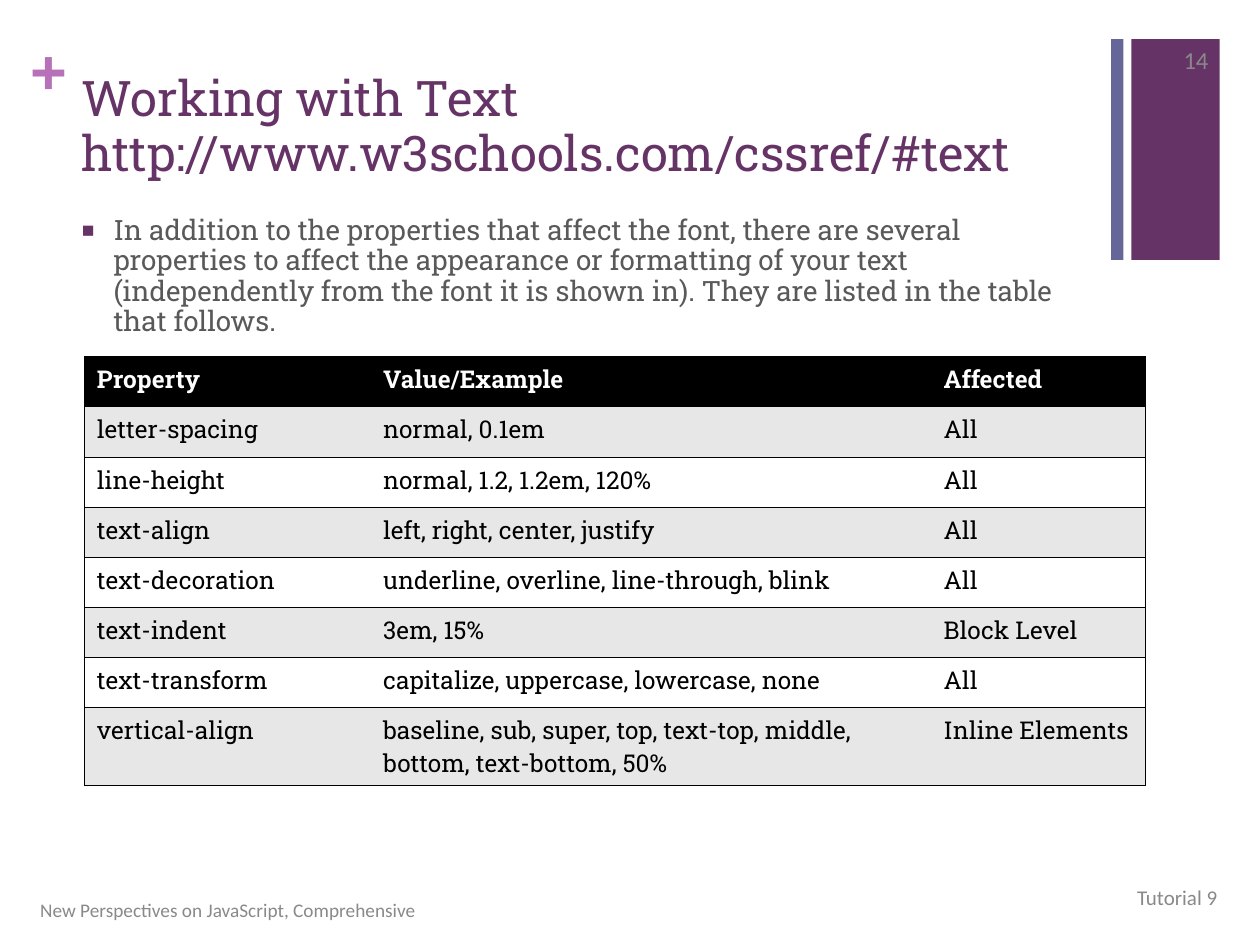
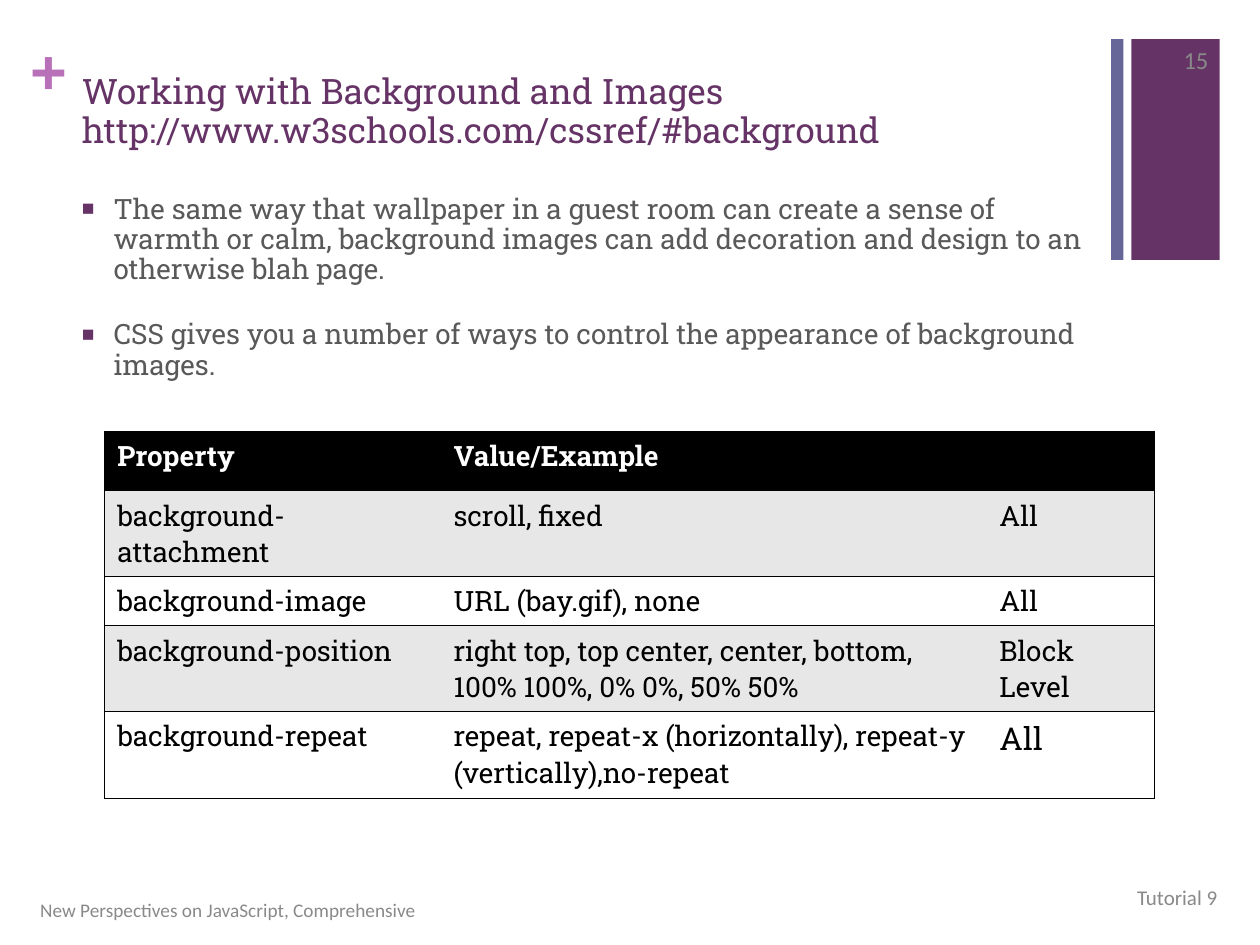
from lxml.etree import SubElement
from pptx import Presentation
from pptx.dml.color import RGBColor
from pptx.enum.shapes import MSO_SHAPE
from pptx.enum.text import MSO_ANCHOR, PP_ALIGN
from pptx.oxml.ns import qn
from pptx.util import Cm, Pt

PURPLE = RGBColor(0x66, 0x33, 0x66)
SLATE = RGBColor(0x66, 0x66, 0x99)
ORCHID = RGBColor(0xB8, 0x70, 0xB8)
BODY_GRAY = RGBColor(0x59, 0x59, 0x59)
FOOTER_GRAY = RGBColor(0x89, 0x89, 0x89)
BAND_GRAY = RGBColor(0xE7, 0xE7, 0xE7)
BLACK = RGBColor(0, 0, 0)
WHITE = RGBColor(0xFF, 0xFF, 0xFF)

SLAB = "Roboto Slab"
PLUS_FONT = {"name": "Arial", "size": Pt(36), "bold": True, "color": ORCHID}
BODY_FONT = {"name": SLAB, "size": Pt(16), "color": BODY_GRAY}
BULLET_INDENT = Cm(0.64)
BORDER_WIDTH = Pt(0.45)

TEXT_ROWS = [
    ["Property", "Value/Example", "Affected"],
    ["letter-spacing", "normal, 0.1em", "All"],
    ["line-height", "normal, 1.2, 1.2em, 120%", "All"],
    ["text-align", "left, right, center, justify", "All"],
    ["text-decoration", "underline, overline, line-through, blink", "All"],
    ["text-indent", "3em, 15%", "Block Level"],
    ["text-transform", "capitalize, uppercase, lowercase, none", "All"],
    ["vertical-align",
     "baseline, sub, super, top, text-top, middle,\nbottom, text-bottom, 50%",
     "Inline Elements"],
]
BACKGROUND_ROWS = [
    ["Property", "Value/Example", ""],
    ["background-attachment", "scroll, fixed", "All"],
    ["background-image", "URL (bay.gif), none", "All"],
    ["background-position",
     "right top, top center, center, bottom, 100% 100%, 0% 0%, 50% 50%",
     "Block Level"],
    ["background-repeat",
     "repeat, repeat-x (horizontally), repeat-y (vertically),no-repeat", "All"],
]


def format_runs(p, font):
    for r in p.runs:
        for key, value in font.items():
            if key == "color":
                r.font.color.rgb = value
            else:
                setattr(r.font, key, value)


def add_text(slide, text, box, font, **paragraph_format):
    """Add a text box; each line of text becomes a paragraph."""
    tf = slide.shapes.add_textbox(*map(Cm, box)).text_frame
    tf.word_wrap = True
    tf.text = text
    for p in tf.paragraphs:
        for key, value in paragraph_format.items():
            setattr(p, key, value)
        format_runs(p, font)
    return tf


def add_bar(slide, box, color):
    sp = slide.shapes.add_shape(MSO_SHAPE.RECTANGLE, *map(Cm, box))
    sp.shadow.inherit = False
    sp.fill.solid()
    sp.fill.fore_color.rgb = color
    sp.line.fill.background()


def add_footer(slide, text, box, size, align=PP_ALIGN.LEFT):
    font = {"name": "Calibri", "size": Pt(size), "color": FOOTER_GRAY}
    tf = add_text(slide, text, box, font, alignment=align)
    tf.vertical_anchor = MSO_ANCHOR.MIDDLE


def add_frame(slide, number):
    """Add the bands, plus sign, footers and page number."""
    add_bar(slide, (22.81, 0.79, 1.78, 4.45), PURPLE)
    add_bar(slide, (22.4, 0.79, 0.25, 4.45), SLATE)
    plus = add_text(slide, "+", (0.61, 0.64, 0.71, 1.52), PLUS_FONT)
    plus.word_wrap = False
    for side in ("left", "top", "right", "bottom"):
        setattr(plus, f"margin_{side}", 0)
    add_footer(slide, "Tutorial 9", (18.87, 17.58, 5.92, 1.02), 12, PP_ALIGN.RIGHT)
    add_footer(slide, "New Perspectives on JavaScript, Comprehensive",
               (0.56, 17.83, 17.02, 1.02), 11)
    add_footer(slide, str(number), (23.06, 0.69, 1.55, 1.02), 14, PP_ALIGN.RIGHT)


def add_title(slide, text, height, size):
    font = {"name": SLAB, "size": Pt(size), "color": PURPLE}
    add_text(slide, text, (1.4, 1.35, 20.98, height), font, line_spacing=0.93)


def add_bullets(slide, items, top, height):
    tf = add_text(slide, "\n".join(items), (1.4, top, 20.98, height),
                  BODY_FONT, line_spacing=0.9)
    for i, p in enumerate(tf.paragraphs):
        p.space_before = Pt(20 if i else 0)
        pPr = p._p.get_or_add_pPr()
        pPr.set("marL", str(BULLET_INDENT))
        pPr.set("indent", str(-BULLET_INDENT))
        color = SubElement(pPr, qn("a:buClr"))
        SubElement(color, qn("a:srgbClr"), val=str(PURPLE))
        SubElement(pPr, qn("a:buSzPct"), val="75000")
        SubElement(pPr, qn("a:buFont"), typeface="Arial")
        SubElement(pPr, qn("a:buChar"), char="■")


def set_borders(cell, visible):
    """Draw a thin black line on the visible sides (out of L, R, T, B) only."""
    tcPr = cell._tc.get_or_add_tcPr()
    for side in "LRTB":
        line = SubElement(tcPr, qn(f"a:ln{side}"), w=str(BORDER_WIDTH))
        if side in visible:
            fill = SubElement(line, qn("a:solidFill"))
            SubElement(fill, qn("a:srgbClr"), val=str(BLACK))
        else:
            SubElement(line, qn("a:noFill"))


def add_property_table(slide, rows, corner, widths, heights, size):
    left, top = corner
    table = slide.shapes.add_table(
        len(rows), len(widths), Cm(left), Cm(top),
        Cm(sum(widths)), Cm(sum(heights))).table
    for column, width in zip(table.columns, widths):
        column.width = Cm(width)
    outer_sides = {0: "L", len(widths) - 1: "R"}
    for i, (texts, height) in enumerate(zip(rows, heights)):
        table.rows[i].height = Cm(height)
        header = i == 0
        fill = BLACK if header else BAND_GRAY if i % 2 else WHITE
        font = {"name": SLAB, "size": Pt(size), "bold": header,
                "color": WHITE if header else BLACK}
        for j, text in enumerate(texts):
            cell = table.cell(i, j)
            set_borders(cell, "TB" + outer_sides.get(j, ""))
            cell.fill.solid()
            cell.fill.fore_color.rgb = fill
            cell.text = text
            for p in cell.text_frame.paragraphs:
                format_runs(p, font)
    return table


def add_text_slide(slide):
    add_frame(slide, 14)
    add_title(slide, "Working with Text\vhttp://www.w3schools.com/cssref/#text", 3.1, 28)
    add_bullets(slide, [
        "In addition to the properties that affect the font, there are several "
        "properties to affect the appearance or formatting of your text "
        "(independently from the font it is shown in). They are listed in the "
        "table that follows."], 4.24, 12.78)
    add_property_table(slide, TEXT_ROWS, (1.7, 7.19), [5.77, 11.3, 4.32],
                       [1.01] * 7 + [1.57], 14)


def add_background_slide(slide):
    add_frame(slide, 15)
    add_title(slide, "Working with Background and Images\v"
              "http://www.w3schools.com/cssref/#background", 2.26, 20)
    add_bullets(slide, [
        "The same way that wallpaper in a guest room can create a sense of "
        "warmth or calm, background images can add decoration and design to an "
        "otherwise blah page.",
        "CSS gives you a number of ways to control the appearance of "
        "background images."], 3.81, 13.2)
    table = add_property_table(slide, BACKGROUND_ROWS, (2.11, 8.69), [6.78, 11, 3.38],
                               [1.2, 1.73, 0.99, 1.73, 1.75], 16)
    format_runs(table.cell(4, 2).text_frame.paragraphs[0], {"size": Pt(18)})


def main():
    prs = Presentation()
    prs.slide_width, prs.slide_height = Cm(25.4), Cm(19.05)
    blank = prs.slide_layouts[6]
    for build in (add_text_slide, add_background_slide):
        build(prs.slides.add_slide(blank))
    prs.save("out.pptx")


if __name__ == "__main__":
    main()
